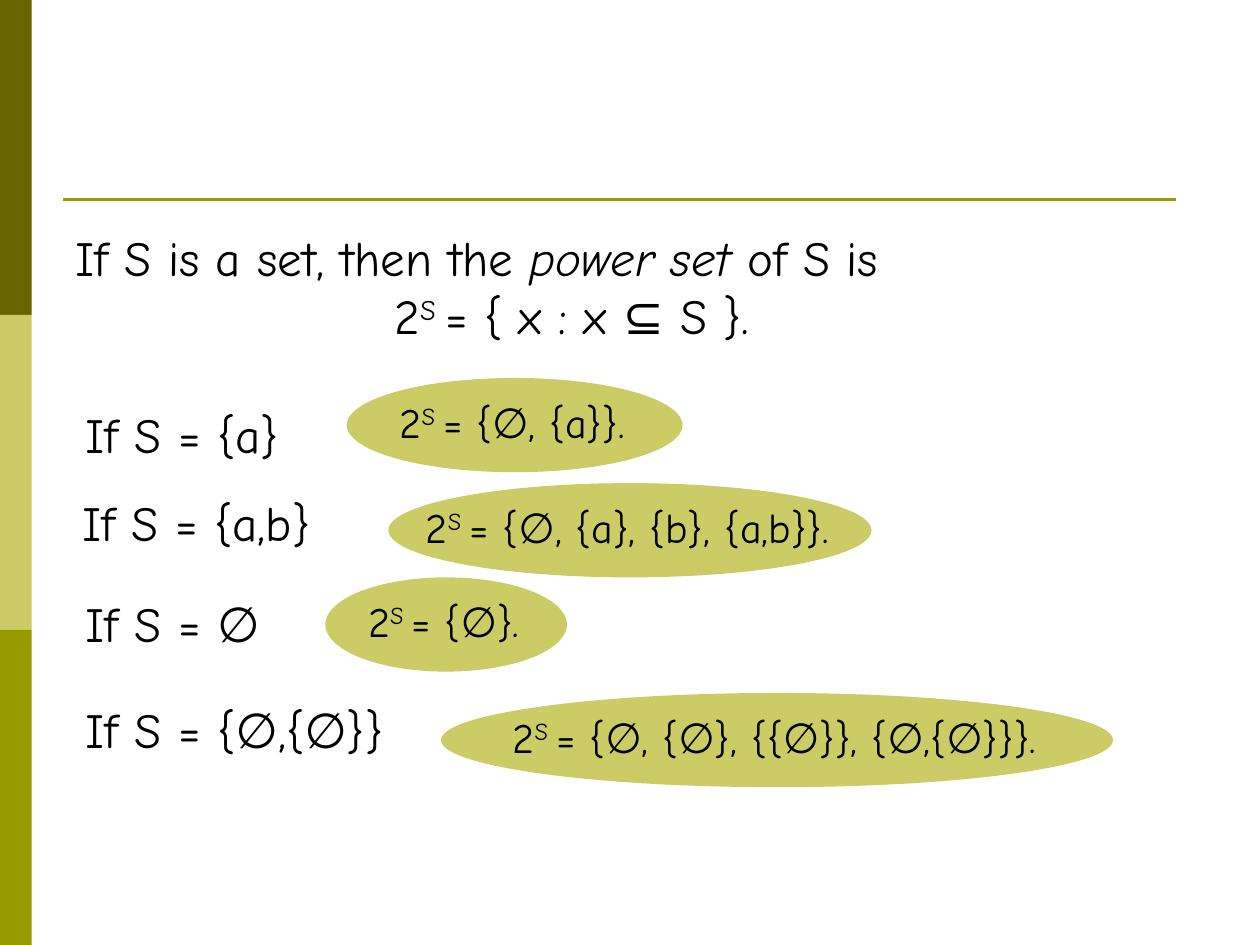
"""Build the power set slide with four worked examples."""
from dataclasses import dataclass

from lxml.etree import SubElement
from pptx import Presentation
from pptx.dml.color import RGBColor
from pptx.enum.shapes import MSO_CONNECTOR as Connector, MSO_SHAPE as Shape
from pptx.enum.text import MSO_ANCHOR as Anchor, MSO_AUTO_SIZE as AutoSize, PP_ALIGN as Align
from pptx.oxml.ns import qn
from pptx.util import Cm, Pt

FONT = "Comic Neue"
COLORS = {"dark": "666600", "light": "CCCC66", "olive": "999900", "text": "000000"}
BAND_WIDTH, BAND_HEIGHT = 0.64, 6.35
LABEL_HEIGHT, OVAL_HEIGHT = 1.7, 1.9
ANSWER_DROP, ANSWER_HEIGHT = 0.24, 1.27


@dataclass(frozen=True)
class Example:
    label: str
    label_left: float
    label_top: float
    label_width: float
    answer: str
    oval_left: float
    oval_top: float
    oval_width: float


EXAMPLES = [
    Example("If S = {a}", 1.48, 8.04, 5.93, "= {∅, {a}}.", 6.99, 7.62, 6.77),
    Example("If S = {a,b}", 1.42, 9.8, 6.63, "= {∅, {a}, {b}, {a,b}}.", 7.83, 9.74, 9.74),
    Example("If S = ∅", 1.48, 11.85, 4.87, "= {∅}.", 6.56, 11.64, 4.87),
    Example("If S = {∅,{∅}}", 1.48, 13.97, 7.2, "= {∅, {∅}, {{∅}}, {∅,{∅}}}.", 8.89, 13.97, 13.55),
]


def color(name: str) -> RGBColor:
    return RGBColor.from_string(COLORS[name])


def add_filled(shapes, kind, left: float, top: float, width: float, height: float, fill: str) -> None:
    shape = shapes.add_shape(kind, Cm(left), Cm(top), Cm(width), Cm(height))
    shape.shadow.inherit = False
    shape.fill.solid()
    shape.fill.fore_color.rgb = color(fill)
    shape.line.fill.background()


def add_text_box(shapes, left: float, top: float, width: float, height: float):
    box = shapes.add_textbox(Cm(left), Cm(top), Cm(width), Cm(height))
    box.text_frame.word_wrap = True
    return box.text_frame


def format_paragraph(paragraph, size: float) -> None:
    for run in paragraph.runs:
        run.font.name = FONT
        run.font.size = Pt(size)
        run.font.color.rgb = color("text")


def hang(paragraph) -> None:
    properties = paragraph._p.get_or_add_pPr()
    properties.set("marL", str(Cm(0.95)))
    properties.set("indent", str(-Cm(0.95)))
    SubElement(properties, qn("a:buNone"))


def write_power_set(paragraph, value: str, size: float) -> None:
    for text in ("2", "S ", value):
        paragraph.add_run().text = text
    paragraph.runs[1]._r.get_or_add_rPr().set("baseline", "30000")
    paragraph.alignment = Align.CENTER
    format_paragraph(paragraph, size)


def add_frame(shapes) -> None:
    for index, fill in enumerate(("dark", "light", "olive")):
        add_filled(shapes, Shape.RECTANGLE, 0, index * BAND_HEIGHT, BAND_WIDTH, BAND_HEIGHT, fill)
    rule = shapes.add_connector(Connector.STRAIGHT, Cm(1.27), Cm(4.02), Cm(23.7), Cm(4.02))
    rule.line.color.rgb = color("olive")
    rule.line.width = Pt(1.5)
    SubElement(rule._element.spPr, qn("a:effectLst"))


def write_definition(body) -> None:
    body.left, body.top, body.width, body.height = Cm(1.27), Cm(4.45), Cm(20.52), Cm(2.77)
    frame = body.text_frame
    frame.auto_size = AutoSize.NONE
    frame.vertical_anchor = Anchor.TOP
    sentence, formula = frame.paragraphs[0], frame.add_paragraph()
    for text in ("If S is a set, then the ", "power set", " of S is"):
        sentence.add_run().text = text
    sentence.runs[1].font.italic = True
    format_paragraph(sentence, 28)
    write_power_set(formula, "= { x : x ⊆ S }.", 28)
    for paragraph in (sentence, formula):
        paragraph.space_before = Pt(0)
        hang(paragraph)


def add_example(shapes, example: Example) -> None:
    label = add_text_box(shapes, example.label_left, example.label_top, example.label_width, LABEL_HEIGHT)
    label.text = example.label
    paragraph = label.paragraphs[0]
    paragraph.space_before = Pt(5.6)
    hang(paragraph)
    format_paragraph(paragraph, 28)

    group = shapes.add_group_shape().shapes
    left, top, width = example.oval_left, example.oval_top, example.oval_width
    add_filled(group, Shape.OVAL, left, top, width, OVAL_HEIGHT, "light")
    answer = add_text_box(group, left, top + ANSWER_DROP, width - 0.1, ANSWER_HEIGHT)
    answer.auto_size = AutoSize.SHAPE_TO_FIT_TEXT
    write_power_set(answer.paragraphs[0], example.answer, 24)


def main() -> None:
    presentation = Presentation()
    presentation.slide_width, presentation.slide_height = Cm(25.4), Cm(19.05)
    slide = presentation.slides.add_slide(presentation.slide_layouts[1])
    title = slide.shapes.title._element
    title.getparent().remove(title)
    add_frame(slide.shapes)
    write_definition(slide.placeholders[1])
    for example in EXAMPLES:
        add_example(slide.shapes, example)
    presentation.save("out.pptx")


if __name__ == "__main__":
    main()
